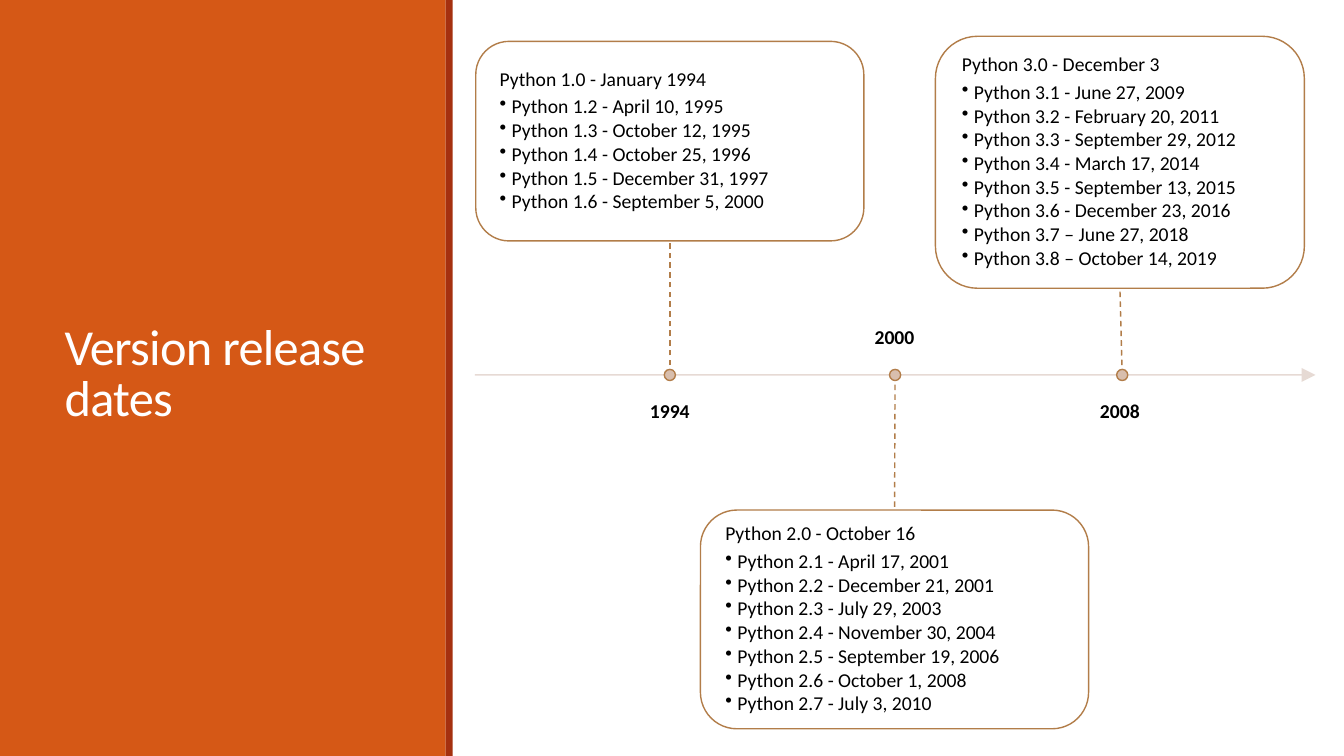
from dataclasses import dataclass

import lxml.etree
import pptx
import pptx.dml.color
import pptx.enum.dml
import pptx.enum.shapes
import pptx.enum.text
import pptx.oxml.ns
import pptx.util

SHAPE = pptx.enum.shapes.MSO_SHAPE
ANCHOR = pptx.enum.text.MSO_ANCHOR
ALIGN = pptx.enum.text.PP_ALIGN

SLIDE_WIDTH = pptx.util.Inches(13.333)
SLIDE_HEIGHT = pptx.util.Inches(7.5)

# Positions and sizes are percentages of the slide's width and height.
AXIS_Y = 49.6
AXIS_START, AXIS_END = 35.33, 97.88
LABEL_WIDTH, LABEL_HEIGHT, LABEL_GAP = 25.43, 10.53, 3.47
DOT_WIDTH = 0.83
DOT_HEIGHT = DOT_WIDTH * SLIDE_WIDTH / SLIDE_HEIGHT
PANEL_WIDTH, STRIPE_WIDTH = 33.15, 0.53

ORANGE, RUST, BRONZE = "D55816", "A5300F", "B27D49"
SAND, PALE, WHITE, BLACK = "D8BEAD", "E4D7D0", "FFFFFF", "000000"

BODY_FONT = {"name": "Calibri", "size": pptx.util.Pt(14)}
TITLE_FONT = {"name": "Calibri", "size": pptx.util.Pt(36)}


@dataclass
class Milestone:
    year: str
    center: float
    dot_center: float
    top: float
    width: float
    height: float
    label_above: bool
    heading: str
    releases: list[str]

    @property
    def axis_side(self) -> float:
        """Edge of the card that faces the axis."""
        return self.top if self.top > AXIS_Y else self.top + self.height


MILESTONES = [
    Milestone("1994", 49.84, 49.84, 5.47, 28.88, 26.4, False, "Python 1.0 - January 1994", [
        "Python 1.2 - April 10, 1995",
        "Python 1.3 - October 12, 1995",
        "Python 1.4 - October 25, 1996",
        "Python 1.5 - December 31, 1997",
        "Python 1.6 - September 5, 2000",
    ]),
    Milestone("2000", 66.56, 66.6, 67.47, 28.88, 28.93, True, "Python 2.0 - October 16", [
        "Python 2.1 - April 17, 2001",
        "Python 2.2 - December 21, 2001",
        "Python 2.3 - July 29, 2003",
        "Python 2.4 - November 30, 2004",
        "Python 2.5 - September 19, 2006",
        "Python 2.6 - October 1, 2008",
        "Python 2.7 - July 3, 2010",
    ]),
    Milestone("2008", 83.33, 83.5, 4.8, 27.45, 33.33, False, "Python 3.0 - December 3", [
        "Python 3.1 - June 27, 2009",
        "Python 3.2 - February 20, 2011",
        "Python 3.3 - September 29, 2012",
        "Python 3.4 - March 17, 2014",
        "Python 3.5 - September 13, 2015",
        "Python 3.6 - December 23, 2016",
        "Python 3.7 – June 27, 2018",
        "Python 3.8 – October 14, 2019",
    ]),
]


def across(share: float) -> int:
    return round(SLIDE_WIDTH * share / 100)


def down(share: float) -> int:
    return round(SLIDE_HEIGHT * share / 100)


def area(left: float, top: float, width: float, height: float) -> tuple[int, int, int, int]:
    return across(left), down(top), across(width), down(height)


def color(value: str) -> pptx.dml.color.RGBColor:
    return pptx.dml.color.RGBColor.from_string(value)


def apply(target, values: dict) -> None:
    for name, value in values.items():
        setattr(target, name, value)


def add_child(parent, tag: str, **attributes: str):
    return lxml.etree.SubElement(parent, pptx.oxml.ns.qn(tag), attributes)


def add_block(slide, kind, box: tuple, fill: str, outline: str = ""):
    shape = slide.shapes.add_shape(kind, *box)
    shape.shadow.inherit = False
    shape.fill.solid()
    shape.fill.fore_color.rgb = color(fill)
    if outline:
        shape.line.color.rgb = color(outline)
        shape.line.width = pptx.util.Pt(1)
    else:
        shape.line.fill.background()
    return shape


def add_line(slide, start: tuple[float, float], end: tuple[float, float], shade: str):
    line = slide.shapes.add_connector(
        pptx.enum.shapes.MSO_CONNECTOR.STRAIGHT,
        across(start[0]), down(start[1]), across(end[0]), down(end[1]))
    line.line.color.rgb = color(shade)
    line.line.width = pptx.util.Pt(1)
    add_child(line._element.spPr, "a:effectLst")
    return line


def set_frame(frame, inset: float, anchor) -> None:
    margin = pptx.util.Inches(inset)
    apply(frame, {"word_wrap": True, "vertical_anchor": anchor, "margin_left": margin,
                  "margin_right": margin, "margin_top": margin, "margin_bottom": margin})


def write(para, text: str, font: dict, shade: str, layout: dict):
    apply(para, layout)
    span = para.add_run()
    span.text = text
    apply(span.font, font)
    span.font.color.rgb = color(shade)
    return span


def add_title(slide) -> None:
    title = slide.shapes.title
    left, top, width, height = area(4.05, 7.6, 25.28, 84.13)
    apply(title, {"left": left, "top": top, "width": width, "height": height})
    apply(title.text_frame, {"word_wrap": True, "vertical_anchor": ANCHOR.MIDDLE,
                             "auto_size": pptx.enum.text.MSO_AUTO_SIZE.NONE})
    span = write(title.text_frame.paragraphs[0], "Version release dates", TITLE_FONT, WHITE,
                 {"alignment": ALIGN.LEFT, "line_spacing": 0.85})
    span.font._element.set("spc", "-50")
    slide.shapes._spTree.append(title._element)  # in front of the panel


def add_axis(slide) -> None:
    axis = add_line(slide, (AXIS_START, AXIS_Y), (AXIS_END, AXIS_Y), PALE)
    outline = axis.line._ln
    add_child(outline.find(".//" + pptx.oxml.ns.qn("a:srgbClr")), "a:alpha", val="90000")
    add_child(outline, "a:tailEnd", type="triangle", w="lg", len="lg")


def add_card(slide, item: Milestone) -> None:
    box = area(item.center - item.width / 2, item.top, item.width, item.height)
    frame = add_block(slide, SHAPE.ROUNDED_RECTANGLE, box, WHITE, BRONZE).text_frame
    set_frame(frame, 0.14, ANCHOR.MIDDLE)
    layout = {"alignment": ALIGN.LEFT, "line_spacing": 0.9}
    write(frame.paragraphs[0], item.heading, BODY_FONT, BLACK,
          layout | {"space_after": pptx.util.Pt(4.6)})
    indent = pptx.util.Inches(0.12)
    for release in item.releases:
        para = frame.add_paragraph()
        properties = para._p.get_or_add_pPr()
        properties.set("marL", str(indent))
        properties.set("indent", str(-indent))
        add_child(properties, "a:buChar", char="•")
        write(para, release, BODY_FONT, BLACK,
              layout | {"level": 1, "space_after": pptx.util.Pt(1.8)})


def add_year(slide, item: Milestone) -> None:
    top = AXIS_Y - LABEL_GAP - LABEL_HEIGHT if item.label_above else AXIS_Y + LABEL_GAP
    label = slide.shapes.add_textbox(
        *area(item.center - LABEL_WIDTH / 2, top, LABEL_WIDTH, LABEL_HEIGHT))
    set_frame(label.text_frame, 0, ANCHOR.BOTTOM if item.label_above else ANCHOR.TOP)
    write(label.text_frame.paragraphs[0], item.year, BODY_FONT | {"bold": True}, BLACK,
          {"alignment": ALIGN.CENTER, "line_spacing": 0.9, "space_after": pptx.util.Pt(4.6)})


def add_milestone(slide, item: Milestone) -> None:
    add_year(slide, item)
    add_card(slide, item)
    stem = add_line(slide, (item.dot_center, AXIS_Y), (item.center, item.axis_side), BRONZE)
    stem.line.dash_style = pptx.enum.dml.MSO_LINE.DASH
    dot = area(item.dot_center - DOT_WIDTH / 2, AXIS_Y - DOT_HEIGHT / 2, DOT_WIDTH, DOT_HEIGHT)
    add_block(slide, SHAPE.OVAL, dot, SAND, BRONZE)


def main() -> None:
    deck = pptx.Presentation()
    apply(deck, {"slide_width": SLIDE_WIDTH, "slide_height": SLIDE_HEIGHT})
    page = deck.slides.add_slide(deck.slide_layouts.get_by_name("Title Only"))
    add_block(page, SHAPE.RECTANGLE, area(0, 0, PANEL_WIDTH, 100), ORANGE)
    add_block(page, SHAPE.RECTANGLE, area(PANEL_WIDTH, 0, STRIPE_WIDTH, 100), RUST)
    add_title(page)
    add_axis(page)
    for item in MILESTONES:
        add_milestone(page, item)
    deck.save("out.pptx")


if __name__ == "__main__":
    main()
